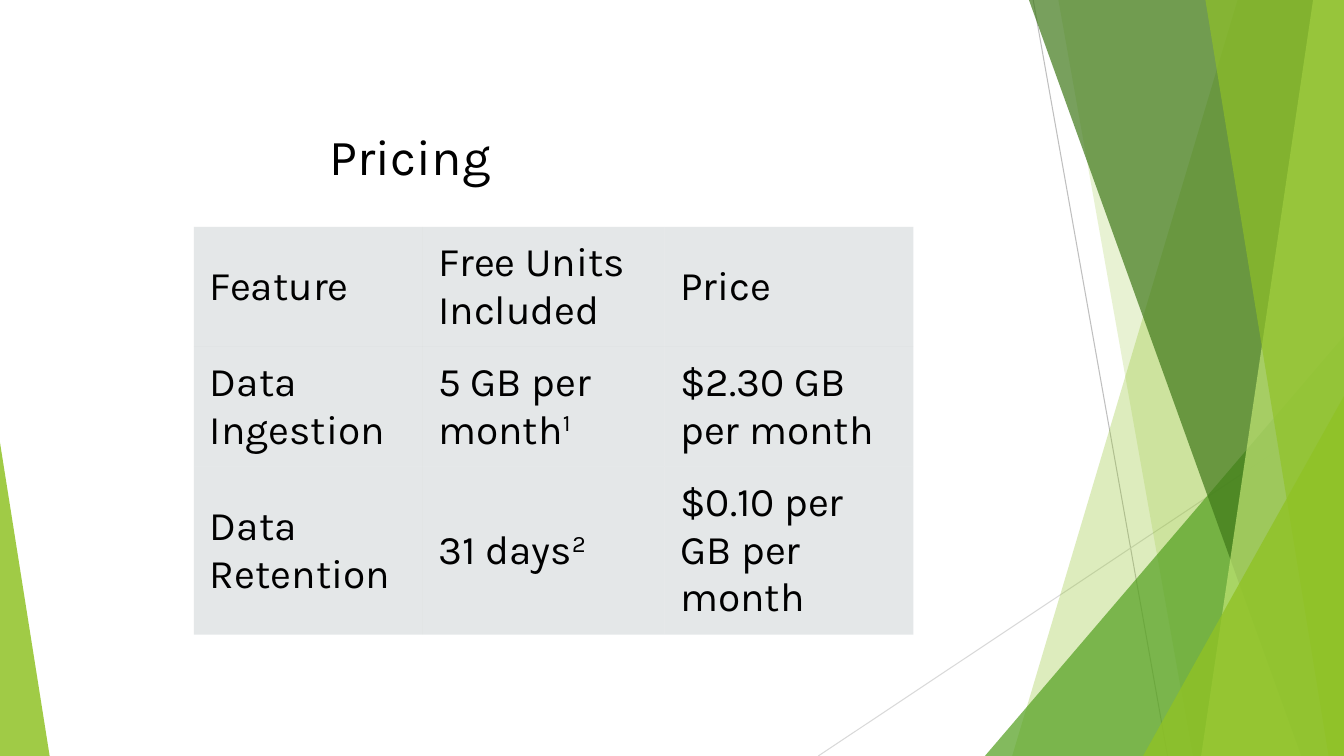
from pptx import Presentation
from pptx.dml.color import RGBColor
from pptx.enum.shapes import MSO_CONNECTOR, MSO_SHAPE
from pptx.enum.text import MSO_ANCHOR
from pptx.oxml.ns import qn
from pptx.util import Pt
from lxml import etree

LINE = MSO_CONNECTOR.STRAIGHT
WEDGE = MSO_SHAPE.ISOSCELES_TRIANGLE
MIDDLE = MSO_ANCHOR.MIDDLE
FONT = "Karla"
WIDE, HIGH = 960, 540
LIME = "90C226"
PLAIN = "{2D5ABB26-0587-4C30-8999-92F81FD0307C}"

ROWS = [
    [("Feature", ""), ("Free Units Included", ""), ("Price", "")],
    [("Data Ingestion", ""), ("5 GB per month", "1"), ("$2.30 GB per month", "")],
    [("Data Retention", ""), ("31 days", "2"), ("$0.10 per GB per month", "")],
]


def color(code):
    return RGBColor.from_string(code)


def tint(fill, node, code, alpha):
    """Fill with a colour at the given opacity in percent."""
    fill.solid()
    fill.fore_color.rgb = color(code)
    tone = next(node.iter(qn("a:srgbClr")))
    etree.SubElement(tone, qn("a:alpha")).set("val", str(alpha * 1000))


def paint(shape, code, alpha):
    shape.shadow.inherit = False
    shape.line.fill.background()
    tint(shape.fill, shape._element.spPr, code, alpha)


def style(run, size):
    run.font.name = FONT
    run.font.size = Pt(size)
    run.font.color.rgb = color("000000")


def add_line(slide, start, end, code):
    line = slide.shapes.add_connector(LINE, *map(Pt, start + end))
    line.line.color.rgb = color(code)
    line.line.width = Pt(0.75)
    etree.SubElement(line._element.spPr, qn("a:effectLst"))


def add_band(slide, top, base, code, alpha):
    """Fill from a slanted edge, given by its x at top and base, to the right side."""
    form = slide.shapes.build_freeform(Pt(top), 0)
    corners = [(WIDE, 0), (WIDE, HIGH), (base, HIGH)]
    form.add_line_segments([(Pt(x), Pt(y)) for x, y in corners])
    paint(form.convert_to_shape(), code, alpha)


def add_wedge(slide, left, top, width, peak, code, alpha):
    """Stand a right triangle on the slide's lower edge."""
    box = left, top, width, HIGH - top
    wedge = slide.shapes.add_shape(WEDGE, *map(Pt, box))
    wedge.adjustments[0] = peak
    paint(wedge, code, alpha)


def add_decor(slide):
    add_line(slide, (738, 0), (834, HIGH), "BFBFBF")
    add_line(slide, (WIDE, 290), (584.5, HIGH), "D9D9D9")
    add_band(slide, 884, 723, LIME, 30)
    add_band(slide, 756, 852, LIME, 20)
    add_wedge(slide, 703.5, 240, 256.5, 1, "54A021", 72)
    add_band(slide, 735, 929.5, "3F7819", 70)
    add_band(slide, 938, 858, "C0E474", 70)
    add_band(slide, 861, 949, LIME, 65)
    add_wedge(slide, 816.5, 283, 143.5, 1, LIME, 80)
    add_wedge(slide, 0, 316, 35.5, 0, LIME, 85)


def add_title(slide, box, text):
    frame = slide.shapes.add_textbox(*map(Pt, box)).text_frame
    frame.word_wrap = True
    frame.vertical_anchor = MIDDLE
    frame.text = text
    style(frame.paragraphs[0].runs[0], 36)


def fill_cell(cell, text, note):
    tint(cell.fill, cell._tc.tcPr, "B4BCBE", 35)
    cell.vertical_anchor = MIDDLE
    cell.margin_left = cell.margin_right = Pt(11.5)
    cell.margin_top = cell.margin_bottom = Pt(5.75)
    cell.text_frame.text = text
    para = cell.text_frame.paragraphs[0]
    if note:
        mark = para.add_run()
        mark.text = note
        mark._r.get_or_add_rPr().set("baseline", "30000")
    for run in para.runs:
        style(run, 29)


def add_prices(slide, left, top, widths, heights):
    box = left, top, sum(widths), sum(heights)
    frame = slide.shapes.add_table(len(heights), len(widths), *map(Pt, box))
    table = frame.table
    table.first_row = table.horz_banding = False
    next(frame._element.iter(qn("a:tableStyleId"))).text = PLAIN
    for col, width in zip(table.columns, widths):
        col.width = Pt(width)
    for row, height, items in zip(table.rows, heights, ROWS):
        row.height = Pt(height)
        for cell, (text, note) in zip(row.cells, items):
            fill_cell(cell, text, note)


def main():
    deck = Presentation()
    deck.slide_width, deck.slide_height = Pt(WIDE), Pt(HIGH)
    slide = deck.slides.add_slide(deck.slide_layouts[6])
    add_decor(slide)
    add_title(slide, (228.5, 60.5, 678, 101.5), "Pricing")
    add_prices(slide, 138.5, 162, (163, 173, 178), (85.7, 85.7, 120))
    deck.save("out.pptx")


if __name__ == "__main__":
    main()
